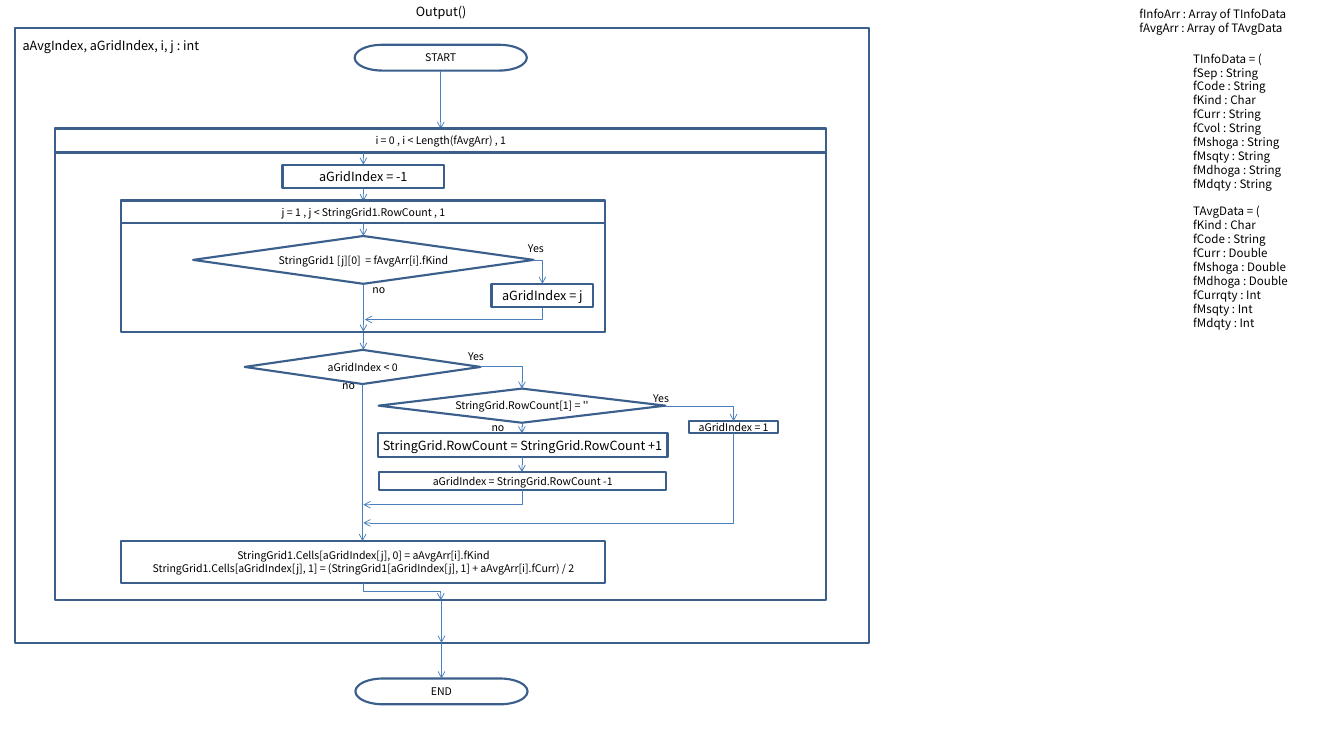
import pptx
import pptx.dml.color
import pptx.enum.shapes
import pptx.enum.text
import pptx.oxml.ns
import pptx.util

Inches, Pt = pptx.util.Inches, pptx.util.Pt
SHAPE = pptx.enum.shapes.MSO_SHAPE
CONNECTOR = pptx.enum.shapes.MSO_CONNECTOR
ALIGN = pptx.enum.text.PP_ALIGN
ANCHOR = pptx.enum.text.MSO_ANCHOR
qn = pptx.oxml.ns.qn

COLORS = {"outline": "3A5F8C", "arrow": "4B7EBC", "text": "000000"}
FONT = "Noto Sans CJK KR"
MARGINS = ("margin_left", "margin_top", "margin_right", "margin_bottom")
NO_MARGINS = dict.fromkeys(MARGINS, 0)
FRAMES = {
    "node": NO_MARGINS | {"word_wrap": True, "vertical_anchor": ANCHOR.MIDDLE},
    "label": NO_MARGINS | {"word_wrap": True, "vertical_anchor": ANCHOR.TOP},
    "note": {"word_wrap": True, "vertical_anchor": ANCHOR.TOP},
}


def color(name):
    return pptx.dml.color.RGBColor.from_string(COLORS[name])


def apply(target, values):
    for name, value in values.items():
        setattr(target, name, value)


# Text, nodes and arrows
def write(sp, text, size, frame):
    tf = sp.text_frame
    apply(tf, FRAMES[frame])
    for i, line in enumerate(text.split("\n")):
        p = tf.add_paragraph() if i else tf.paragraphs[0]
        apply(p, {"alignment": ALIGN.CENTER if frame == "node" else ALIGN.LEFT,
                  "line_spacing": Pt(1.2 * size)})
        r = p.add_run()
        r.text = line
        apply(r.font, {"name": FONT, "size": Pt(size)})
        r.font.color.rgb = color("text")


def node(s, x, y, w, h, text="", size=10, kind=SHAPE.RECTANGLE):
    sp = s.shapes.add_shape(kind, *map(Inches, (x, y, w, h)))
    sp.shadow.inherit = False
    sp.fill.background()
    sp.line.color.rgb = color("outline")
    sp.line.width = Pt(2)
    if text:
        write(sp, text, size, "node")


def centred(s, axis, y, w, h, text, size=10, kind=SHAPE.RECTANGLE):
    node(s, axis - w / 2, y, w, h, text, size, kind)


def textbox(s, x, y, w, h, text, size, frame):
    write(s.shapes.add_textbox(*map(Inches, (x, y, w, h))), text, size, frame)


def branch(s, x, y, text):
    textbox(s, x, y, 0.25, 0.17, text, 10, "label")


def arrow(s, x1, y1, x2, y2, kind=CONNECTOR.STRAIGHT):
    c = s.shapes.add_connector(kind, *map(Inches, (x1, y1, x2, y2)))
    c.line.color.rgb = color("arrow")
    c.line.width = Pt(0.75)
    props = c._element.spPr
    ln = props.find(qn("a:ln"))
    ln.append(ln.makeelement(qn("a:tailEnd"), {"type": "arrow"}))
    props.append(props.makeelement(qn("a:effectLst"), {}))
    return props


def across_down(s, x1, y1, x2, y2):
    props = arrow(s, x1, y1, x2, y2, CONNECTOR.ELBOW)
    props.find(qn("a:prstGeom")).set("prst", "bentConnector2")


def down_across(s, x1, y1, x2, y2, preset="bentConnector2"):
    """Turned elbow: leaves downwards, then runs to the left or right."""
    cx, cy = (x1 + x2) / 2, (y1 + y2) / 2
    side = 1 if x2 < x1 else -1
    half_w, half_h = side * (y2 - y1) / 2, abs(x2 - x1) / 2
    props = arrow(s, cx - half_w, cy - half_h, cx + half_w, cy + half_h, CONNECTOR.ELBOW)
    props.find(qn("a:xfrm")).set("rot", str((90 if side == 1 else 270) * 60000))
    props.find(qn("a:prstGeom")).set("prst", preset)


def loop_frame(s, x, y, w, h, condition, header_h):
    node(s, x, y, w, h)
    node(s, x, y + 0.01, w, header_h, condition)


# Procedure frame with its start and end
def procedure(s, x, y, w, h):
    axis = x + 5.61
    node(s, x, y, w, h)
    textbox(s, x + 1.04, y - 0.37, 9.15, 0.3, "Output()", 12, "node")
    textbox(s, x, y + 0.08, 2.65, 0.3, "aAvgIndex, aGridIndex, i, j : int", 12, "note")
    for centre, top, text in ((axis, 0.22, "START"), (axis + 0.01, h + 0.47, "END")):
        centred(s, centre, y + top, 2.27, 0.34, text, kind=SHAPE.FLOWCHART_TERMINATOR)
    for centre, top, bottom in ((axis, 0.56, 1.33), (axis + 0.01, h - 0.56, h),
                                (axis + 0.01, h, h + 0.47)):
        arrow(s, centre, y + top, centre, y + bottom)


# Loop over the averages, with the final cell update
def average_loop(s, x, y, w, h):
    axis, middle = x + 4.06, x + w / 2
    loop_frame(s, x, y, w, h, "i = 0 , i < Length(fAvgArr) , 1", 0.31)
    centred(s, axis, y + 0.48, 2.13, 0.31, "aGridIndex = -1", 12)
    for top, bottom in ((0.32, 0.48), (0.79, 0.96), (2.68, 2.92)):
        arrow(s, axis, y + top, axis, y + bottom)
    centred(s, axis, y + 5.44, 6.38, 0.55,
            "StringGrid1.Cells[aGridIndex[j], 0] = aAvgArr[i].fKind\n"
            "StringGrid1.Cells[aGridIndex[j], 1] = "
            "(StringGrid1[aGridIndex[j], 1] + aAvgArr[i].fCurr) / 2")
    down_across(s, axis, y + 5.99, middle, y + h, "bentConnector3")


# Loop over the grid rows
def row_loop(s, x, y, w, h):
    axis, yes = x + w / 2, x + 5.55
    loop_frame(s, x, y, w, h, "j = 1 , j < StringGrid1.RowCount , 1", 0.29)
    centred(s, axis, y + 0.47, 4.49, 0.63, "StringGrid1 [j][0]  = fAvgArr[i].fKind ",
            kind=SHAPE.FLOWCHART_DECISION)
    centred(s, yes, y + 1.1, 1.34, 0.31, "aGridIndex = j", 12)
    branch(s, x + 5.36, y + 0.55, "Yes")
    branch(s, x + 3.31, y + 1.09, "no")
    arrow(s, axis, y + 0.3, axis, y + 0.47)
    arrow(s, axis, y + 1.1, axis, y + h)
    across_down(s, x + 5.43, y + 0.79, yes, y + 1.1)
    down_across(s, yes, y + 1.42, axis + 0.02, y + 1.57)


# Choice of the target row when none was found
def row_choice(s, x, y, w, h):
    axis, add, first = x + 1.55, x + 3.65, x + w - 0.59
    for centre, top, width, text in ((axis, 0, 3.11, "aGridIndex < 0"),
                                     (add, 0.51, 3.78, "StringGrid.RowCount[1] = ''")):
        centred(s, centre, y + top, width, 0.45, text, kind=SHAPE.FLOWCHART_DECISION)
    centred(s, add + 0.01, y + 1.1, 3.82, 0.31,
            "StringGrid.RowCount = StringGrid.RowCount +1", 12)
    centred(s, add + 0.01, y + 1.61, 3.78, 0.24, "aGridIndex = StringGrid.RowCount -1")
    centred(s, first, y + 0.94, 1.18, 0.16, "aGridIndex = 1")
    for left, top, text in ((2.94, 0, "Yes"), (1.28, 0.39, "no"),
                            (5.38, 0.55, "Yes"), (3.25, 0.94, "no")):
        branch(s, x + left, y + top, text)
    for centre, top, bottom in ((axis, 0.45, h), (add, 0.96, 1.1), (add, 1.41, 1.61)):
        arrow(s, centre, y + top, centre, y + bottom)
    across_down(s, x + 3.1, y + 0.22, add, y + 0.51)
    across_down(s, x + 5.54, y + 0.74, first, y + 0.94)
    down_across(s, add + 0.01, y + 1.85, axis + 0.01, y + 2.04)
    down_across(s, first, y + 1.1, axis + 0.01, y + 2.28)


# Data type notes
def type_notes(s, x, y, w, h):
    textbox(s, x, y, w, 0.47,
            "fInfoArr : Array of TInfoData\nfAvgArr : Array of TAvgData", 11, "note")
    info = ("TInfoData = (\nfSep : String\nfCode : String\nfKind : Char\nfCurr : String\n"
            "fCvol : String\nfMshoga : String\nfMsqty : String\nfMdhoga : String\n"
            "fMdqty : String")
    avg = ("TAvgData = (\nfKind : Char\nfCode : String\nfCurr : Double\nfMshoga : Double\n"
           "fMdhoga : Double\nfCurrqty : Int\nfMsqty : Int\nfMdqty : Int")
    for top, text in ((0.59, info), (h - 1.95, avg)):
        textbox(s, x + 0.71, y + top, 1.5, 1.95, text, 11, "note")


prs = pptx.Presentation()
prs.slide_width = Inches(45 / 2.54)
prs.slide_height = Inches(25 / 2.54)
s = prs.slides.add_slide(prs.slide_layouts[6])
procedure(s, 0.2, 0.37, 11.26, 8.1)
average_loop(s, 0.73, 1.69, 10.16, 6.22)
row_loop(s, 1.6, 2.64, 6.38, 1.73)
row_choice(s, 3.23, 4.61, 7.03, 2.52)
type_notes(s, 14.92, 0.04, 2.17, 4.55)
prs.save("out.pptx")
